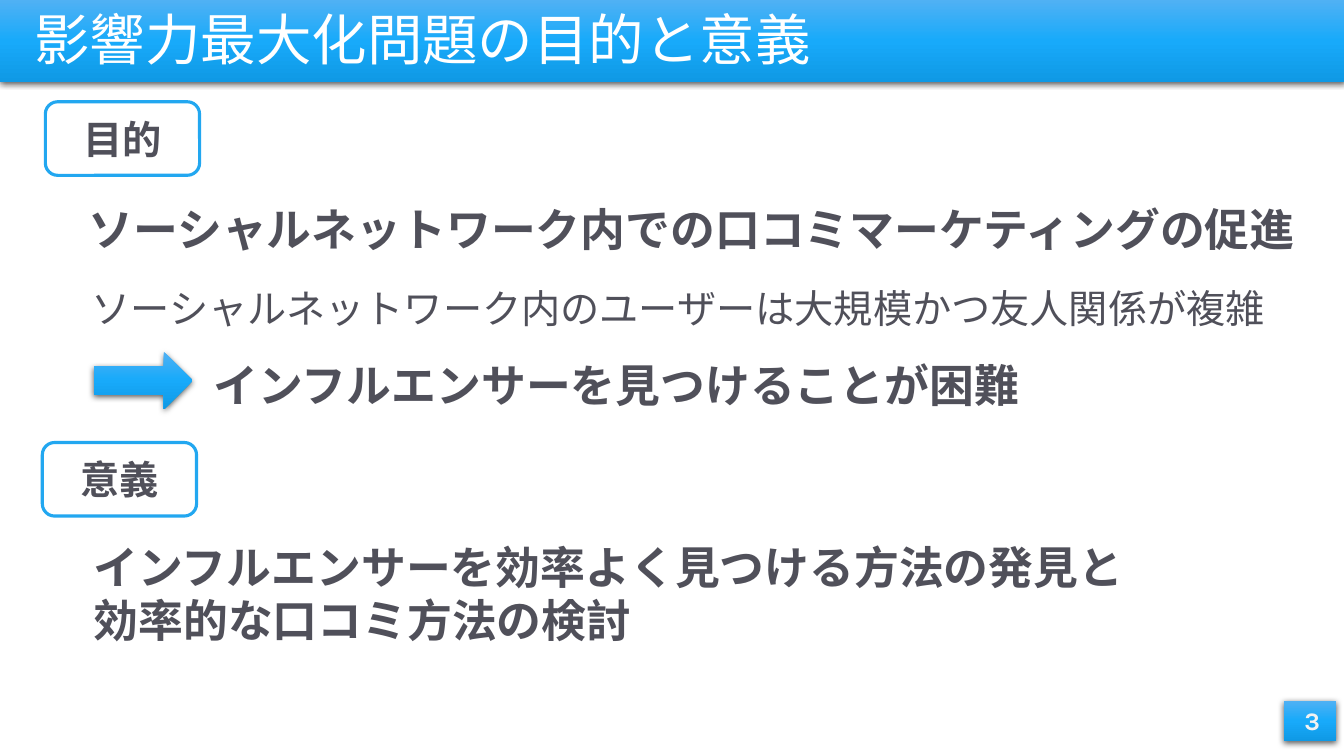
from lxml import etree
from pptx import Presentation, util as u
from pptx.dml.color import RGBColor
from pptx.enum import shapes, text
from pptx.oxml.ns import qn

WIDE, HIGH = 13.33, 7.5
FONT = "Karla"
HUES = {"top": "50B1F4", "mid": "18AAFA", "low": "0F99E5", "edge": "22A7F0",
        "ink": "50505A", "paper": "FFFFFF", "page": "F2F2F2", "shade": "000000"}
KIND = shapes.MSO_SHAPE
LEFT, MID, RIGHT = text.PP_ALIGN.LEFT, text.PP_ALIGN.CENTER, text.PP_ALIGN.RIGHT
TOP, HALF = text.MSO_ANCHOR.TOP, text.MSO_ANCHOR.MIDDLE


def hue(name):
    return RGBColor.from_string(HUES[name])


def tag(parent, name, **attrs):
    return etree.SubElement(parent, qn("a:" + name), attrs)


def write(shape, words, size, ink="ink", bold=True, align=LEFT, anchor=TOP, gap=1.0):
    """Fill a shape with text, one paragraph to a line."""
    frame = shape.text_frame
    frame.word_wrap = True
    frame.vertical_anchor = anchor
    frame.text = words
    for para in frame.paragraphs:
        para.alignment, para.line_spacing = align, gap
        font = para.runs[0].font
        for key, value in {"name": FONT, "size": u.Pt(size), "bold": bold}.items():
            setattr(font, key, value)
        font.color.rgb = hue(ink)


def label(slide, box, words, size, **style):
    write(slide.shapes.add_textbox(*map(u.Inches, box)), words, size, **style)


def glossy(slide, kind, box):
    """Add a borderless shape with the blue gradient and a soft shadow."""
    shape = slide.shapes.add_shape(kind, *map(u.Inches, box))
    shape.line.fill.background()
    shape.fill.gradient()
    shape.fill.gradient_angle = 270
    stops = shape.element.spPr.find(".//" + qn("a:gsLst"))
    for stop in list(stops):
        stops.remove(stop)
    for pos, name in enumerate(("top", "mid", "low")):
        stop = tag(stops, "gs", pos=str(pos * 50000))
        tag(stop, "srgbClr", val=HUES[name])
    shape.shadow.inherit = False
    glow = tag(shape.element.spPr.find(qn("a:effectLst")), "outerShdw",
               blurRad=str(u.Pt(4.5)), dist=str(u.Pt(1.5)), dir="5400000", rotWithShape="0")
    tag(tag(glow, "srgbClr", val=HUES["shade"]), "alpha", val="63000")


def head(slide, box, words):
    x, y, w, h = box
    glossy(slide, KIND.RECTANGLE, box)
    title = slide.shapes.title
    slide.shapes.element.append(title.element)
    spot = (x + 0.24, y + 0.06, w * 0.85, h * 0.9)
    for key, value in zip(("left", "top", "width", "height"), spot):
        setattr(title, key, u.Inches(value))
    write(title, words, 39.6, ink="paper", bold=False, anchor=HALF, gap=0.9)


def badge(slide, box, words):
    shape = slide.shapes.add_shape(KIND.ROUNDED_RECTANGLE, *map(u.Inches, box))
    shape.shadow.inherit = False
    shape.fill.solid()
    shape.fill.fore_color.rgb = hue("paper")
    shape.line.color.rgb = hue("edge")
    shape.line.width = u.Pt(2.25)
    write(shape, words, 28, align=MID, anchor=HALF)


def goal(slide, box):
    x, y, w, h = box
    badge(slide, (x, y, 1.53, 0.73), "目的")
    label(slide, (x + 0.33, y + 0.94, w, 0.64),
          "ソーシャルネットワーク内での口コミマーケティングの促進", 32)
    label(slide, (x + 0.36, y + 1.76, w, 0.57),
          "ソーシャルネットワーク内のユーザーは大規模かつ友人関係が複雑", 28, bold=False)
    glossy(slide, KIND.RIGHT_ARROW, (x + 0.48, y + h - 0.65, 0.98, 0.57))
    label(slide, (x + 1.57, y + h - 0.64, 8.5, 0.64),
          "インフルエンサーを見つけることが困難", 32)


def worth(slide, box):
    x, y, w, h = box
    badge(slide, (x, y, 1.53, 0.73), "意義")
    label(slide, (x + 0.41, y + 0.91, w, h - 0.91),
          "インフルエンサーを効率よく見つける方法の発見と\n効率的な口コミ方法の検討", 32)


def folio(slide, box, number):
    x, y, w, h = box
    glossy(slide, KIND.RECTANGLE, box)
    label(slide, (x - 0.06, y, w, h), number, 18, ink="page", align=RIGHT, anchor=HALF)


def main():
    deck = Presentation()
    deck.slide_width, deck.slide_height = u.Inches(WIDE), u.Inches(HIGH)
    slide = deck.slides.add_slide(deck.slide_layouts[5])
    head(slide, (0, 0, WIDE, 0.81), "影響力最大化問題の目的と意義")
    goal(slide, (0.45, 1.01, 12.3, 3.13))
    worth(slide, (0.42, 4.39, 12.3, 2.09))
    folio(slide, (WIDE - 0.6, HIGH - 0.55, 0.52, 0.4), "3")
    deck.save("out.pptx")


if __name__ == "__main__":
    main()
